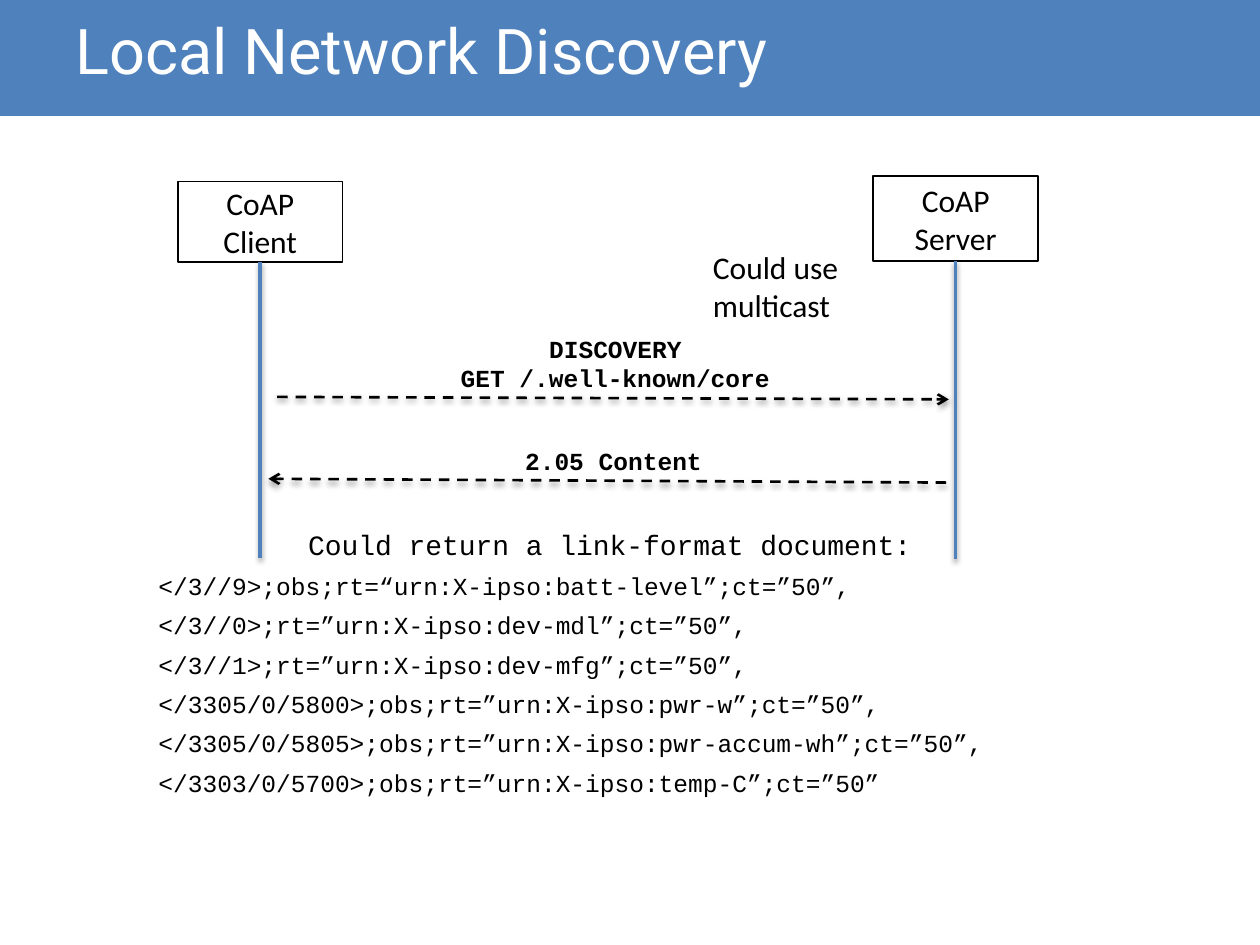
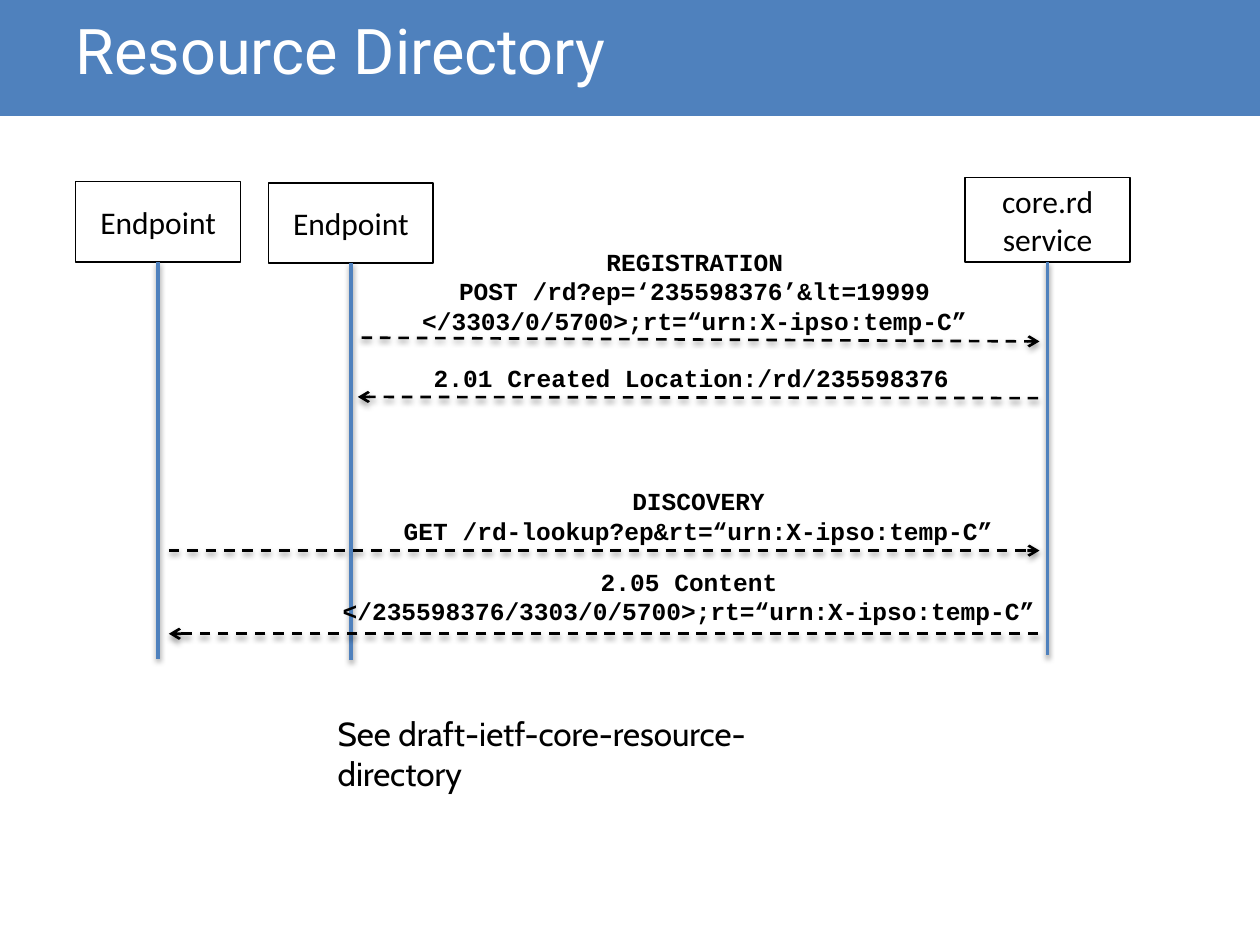
from lxml.etree import SubElement
from pptx import Presentation
from pptx.dml.color import RGBColor
from pptx.enum.dml import MSO_LINE
from pptx.enum.shapes import MSO_CONNECTOR, MSO_SHAPE
from pptx.enum.text import MSO_ANCHOR, MSO_AUTO_SIZE, PP_ALIGN
from pptx.oxml.ns import qn
from pptx.util import Inches, Pt

BLUE = "4F81BD"
BLACK = "000000"
WHITE = "FFFFFF"
BODY_FONT = "Calibri"
CODE_FONT = "Courier New"
ACTOR_WIDTH = 1.31
TRAILING_MARGIN = 0.23


def color(hex_value):
    """Turn a hex string into a colour."""
    return RGBColor.from_string(hex_value)


def style_paragraph(paragraph, size, font, hex_value=BLACK, bold=False, align=PP_ALIGN.LEFT):
    """Set the font and alignment of one paragraph."""
    paragraph.font.size = Pt(size)
    paragraph.font.name = font
    paragraph.font.color.rgb = color(hex_value)
    paragraph.font.bold = bold
    paragraph.alignment = align


def add_titled_slide(presentation, title_text):
    """Add a slide with the blue band and its title."""
    slide = presentation.slides.add_slide(presentation.slide_layouts[5])
    band = slide.shapes.add_shape(
        MSO_SHAPE.RECTANGLE, 0, 0, presentation.slide_width, Inches(0.92))
    band.shadow.inherit = False
    band.fill.solid()
    band.fill.fore_color.rgb = color(BLUE)
    band.line.fill.background()
    title = slide.shapes.title
    title.element.addprevious(band.element)
    title.left, title.top = Inches(0.5), Inches(-0.23)
    title.width, title.height = Inches(9), Inches(1.25)
    title.text_frame.text = title_text
    title.text_frame.vertical_anchor = MSO_ANCHOR.MIDDLE
    style_paragraph(title.text_frame.paragraphs[0], 36, "Roboto", WHITE)
    return slide


def add_text(slide, lines, left, top, width, height, size, font, **style):
    """Add a wrapping text box with one paragraph per line."""
    box = slide.shapes.add_textbox(Inches(left), Inches(top), Inches(width), Inches(height))
    frame = box.text_frame
    frame.word_wrap = True
    frame.auto_size = MSO_AUTO_SIZE.SHAPE_TO_FIT_TEXT
    frame.text = "\n".join(lines)
    for paragraph in frame.paragraphs:
        style_paragraph(paragraph, size, font, **style)
    return frame


def add_message_label(slide, lines, left, top, width, height):
    """Add the bold centred text of a message."""
    return add_text(slide, lines, left, top, width, height, 14, CODE_FONT,
                    bold=True, align=PP_ALIGN.CENTER)


def set_right_margin(paragraph, margin):
    """Pull a centred paragraph to the left with a right margin."""
    paragraph._p.get_or_add_pPr().set("marR", str(Inches(margin)))


def add_line(slide, start, end, hex_value, width):
    """Add a straight connector with a soft shadow below it."""
    points = [Inches(value) for value in (*start, *end)]
    connector = slide.shapes.add_connector(MSO_CONNECTOR.STRAIGHT, *points)
    connector.line.color.rgb = color(hex_value)
    connector.line.width = Pt(width)
    effects = SubElement(connector.element.spPr, qn("a:effectLst"))
    shadow = SubElement(effects, qn("a:outerShdw"), blurRad=str(Pt(3.1)),
                        dist=str(Pt(1.6)), dir="5400000", rotWithShape="0")
    shadow_color = SubElement(shadow, qn("a:srgbClr"), val=BLACK)
    SubElement(shadow_color, qn("a:alpha"), val="38000")
    return connector


def add_message_arrow(slide, start, end):
    """Add a dashed arrow that points at its end."""
    arrow = add_line(slide, start, end, BLACK, 1.5)
    arrow.line.dash_style = MSO_LINE.DASH
    SubElement(arrow.line._get_or_add_ln(), qn("a:tailEnd"), type="arrow")


def add_actor(slide, name, left, top, height, lifeline_end):
    """Add a named box with a lifeline hanging from it."""
    actor = slide.shapes.add_shape(
        MSO_SHAPE.RECTANGLE, Inches(left), Inches(top), Inches(ACTOR_WIDTH), Inches(height))
    actor.shadow.inherit = False
    actor.fill.background()
    actor.line.color.rgb = color(BLACK)
    actor.line.width = Pt(1)
    actor.text_frame.word_wrap = True
    actor.text_frame.vertical_anchor = MSO_ANCHOR.MIDDLE
    actor.text_frame.text = name
    style_paragraph(actor.text_frame.paragraphs[0], 18, BODY_FONT, align=PP_ALIGN.CENTER)
    middle = left + ACTOR_WIDTH / 2
    lifeline = add_line(slide, (middle, top + height), (middle, lifeline_end), BLUE, 2)
    lifeline.begin_connect(actor, 2)


def add_link_document(slide, heading, links):
    """Add the link-format listing under its centred heading."""
    frame = add_text(slide, [heading, *links], 1.16, 4.11, 7.36, 2.67, 14, CODE_FONT)
    frame.auto_size = MSO_AUTO_SIZE.NONE
    for paragraph in frame.paragraphs:
        paragraph.line_spacing = 1.1
        paragraph.space_before = Pt(4)
        properties = paragraph._p.get_or_add_pPr()
        properties.set("marL", str(Inches(0.38)))
        properties.set("indent", str(Inches(-0.38)))
    style_paragraph(frame.paragraphs[0], 16, CODE_FONT, align=PP_ALIGN.CENTER)


def build_local_discovery(presentation):
    """Build the slide on discovery in a local network."""
    slide = add_titled_slide(presentation, "Local Network Discovery")
    add_link_document(slide, "Could return a link-format document:", [
        "</3//9>;obs;rt=“urn:X-ipso:batt-level”;ct=”50”,",
        "</3//0>;rt=”urn:X-ipso:dev-mdl”;ct=”50”,",
        "</3//1>;rt=”urn:X-ipso:dev-mfg”;ct=”50”,",
        "</3305/0/5800>;obs;rt=”urn:X-ipso:pwr-w”;ct=”50”,",
        "</3305/0/5805>;obs;rt=”urn:X-ipso:pwr-accum-wh”;ct=”50”,",
        "</3303/0/5700>;obs;rt=”urn:X-ipso:temp-C”;ct=”50”",
    ])
    add_actor(slide, "CoAP Server", 6.93, 1.4, 0.67, 4.44)
    add_actor(slide, "CoAP Client", 1.41, 1.44, 0.64, 4.43)
    add_message_arrow(slide, (2.2, 3.15), (7.53, 3.17))
    add_message_arrow(slide, (7.51, 3.83), (2.13, 3.8))
    add_message_label(slide, ["DISCOVERY", "GET /.well-known/core"], 2.17, 2.6, 5.43, 0.57)
    content = add_message_label(slide, ["2.05 Content"], 3.53, 3.49, 2.91, 0.34)
    set_right_margin(content.paragraphs[0], TRAILING_MARGIN)
    add_text(slide, ["Could use multicast"], 5.56, 1.92, 1.73, 0.71, 18, BODY_FONT)


def build_resource_directory(presentation):
    """Build the slide on registration and lookup in a directory."""
    slide = add_titled_slide(presentation, "Resource Directory")
    reference = add_text(slide, ["See draft-ietf-core-resource-directory"],
                         2.56, 5.6, 4.34, 0.44, 19, "Cabin")
    reference.margin_left = reference.margin_right = Inches(0.12)
    reference.margin_top = reference.margin_bottom = Inches(0.06)
    add_actor(slide, "core.rd service", 7.66, 1.41, 0.67, 5.2)
    add_actor(slide, "Endpoint", 2.13, 1.45, 0.64, 5.24)
    add_actor(slide, "Endpoint", 0.6, 1.44, 0.64, 5.23)
    for start, end in [
        ((2.87, 2.68), (8.25, 2.71)),
        ((8.24, 3.16), (2.84, 3.15)),
        ((1.34, 4.37), (8.25, 4.37)),
        ((8.24, 5.03), (1.34, 5.03)),
    ]:
        add_message_arrow(slide, start, end)
    add_message_label(slide, [
        "REGISTRATION",
        "POST /rd?ep=‘235598376’&lt=19999",
        "</3303/0/5700>;rt=“urn:X-ipso:temp-C”",
    ], 2.84, 1.91, 5.35, 0.81)
    add_message_label(slide, ["2.01 Created Location:/rd/235598376"], 3.27, 2.83, 4.44, 0.34)
    add_message_label(slide, ["DISCOVERY", "GET /rd-lookup?ep&rt=“urn:X-ipso:temp-C”"],
                      2.83, 3.81, 5.43, 0.57)
    content = add_message_label(
        slide, ["2.05 Content", "</235598376/3303/0/5700>;rt=“urn:X-ipso:temp-C”"],
        2.62, 4.45, 5.93, 0.57)
    set_right_margin(content.paragraphs[0], TRAILING_MARGIN)


def main():
    """Build both slides and save the presentation."""
    presentation = Presentation()
    presentation.slide_width = Inches(10)
    presentation.slide_height = Inches(7.5)
    build_local_discovery(presentation)
    build_resource_directory(presentation)
    presentation.save("out.pptx")


if __name__ == "__main__":
    main()
